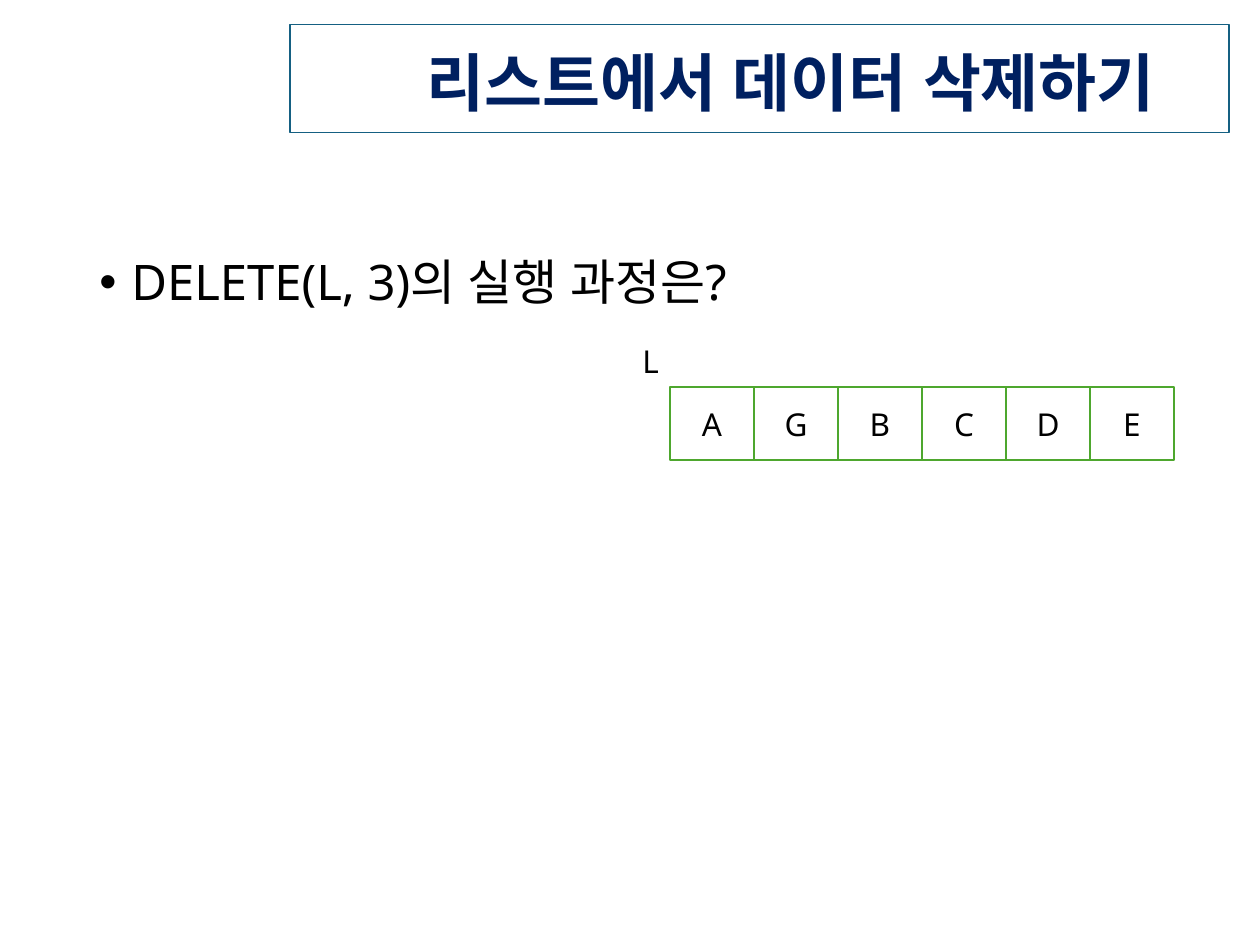
from dataclasses import dataclass

from lxml.etree import SubElement
from pptx import Presentation
from pptx.dml.color import RGBColor
from pptx.enum.shapes import MSO_SHAPE
from pptx.enum.text import MSO_ANCHOR, MSO_AUTO_SIZE, PP_ALIGN
from pptx.oxml.ns import qn
from pptx.util import Emu, Pt

PX_PER_INCH = 126
FONT = "Noto Sans"
BLACK, WHITE, NAVY, TEAL, GREEN = "000000", "FFFFFF", "002060", "156082", "4EA72E"


@dataclass
class Box:
    x: int
    y: int
    w: int
    h: int

    def emu(self) -> list[Emu]:
        return [px(v) for v in (self.x, self.y, self.w, self.h)]


def px(n: int) -> Emu:
    return Emu(round(n * 914400 / PX_PER_INCH))


def rgb(value: str) -> RGBColor:
    return RGBColor.from_string(value)


def style_text(p, size: int, color: str = BLACK, bold: bool = False) -> None:
    for r in p.runs:
        r.font.name = FONT
        r.font.size = Pt(size)
        r.font.bold = bold
        r.font.color.rgb = rgb(color)
        # Hangul takes the East Asian font
        SubElement(r.font._element, qn("a:ea"), typeface=FONT)


def set_line(sp, color: str, width: float) -> None:
    sp.line.color.rgb = rgb(color)
    sp.line.width = Pt(width)


def add_text(shapes, box: Box, text: str, size: int, wrap: bool):
    tf = shapes.add_textbox(*box.emu()).text_frame
    tf.word_wrap = wrap
    tf.text = text
    style_text(tf.paragraphs[0], size)
    return tf


def add_cell(shapes, box: Box, text: str) -> None:
    sp = shapes.add_shape(MSO_SHAPE.RECTANGLE, *box.emu())
    sp.shadow.inherit = False
    sp.fill.solid()
    sp.fill.fore_color.rgb = rgb(WHITE)
    set_line(sp, GREEN, 1.5)
    tf = sp.text_frame
    tf.text = text
    tf.vertical_anchor = MSO_ANCHOR.MIDDLE
    p = tf.paragraphs[0]
    p.alignment = PP_ALIGN.CENTER
    style_text(p, 18)


def set_title(sp, box: Box, text: str) -> None:
    sp.left, sp.top, sp.width, sp.height = box.emu()
    set_line(sp, TEAL, 0.75)
    tf = sp.text_frame
    tf.text = text
    tf.word_wrap = False
    tf.auto_size = MSO_AUTO_SIZE.SHAPE_TO_FIT_TEXT
    tf.vertical_anchor = MSO_ANCHOR.MIDDLE
    tf.margin_left = tf.margin_right = px(74)
    tf.margin_top, tf.margin_bottom = px(15), 0
    p = tf.paragraphs[0]
    p.alignment = PP_ALIGN.RIGHT
    p.line_spacing = 0.9
    style_text(p, 36, NAVY, bold=True)


def add_bullet(p, indent: int) -> None:
    pPr = p._p.get_or_add_pPr()
    pPr.set("marL", str(px(indent)))
    pPr.set("indent", str(-px(indent)))
    SubElement(pPr, qn("a:buFont"), typeface="Arial")
    SubElement(pPr, qn("a:buChar"), char="•")


def main() -> None:
    prs = Presentation()
    prs.slide_width, prs.slide_height = px(1260), px(945)
    s = prs.slides.add_slide(prs.slide_layouts[5])

    # Title
    set_title(s.shapes.title, Box(290, 37, 939, 83), "리스트에서 데이터 삭제하기")

    # Question
    tf = add_text(s.shapes, Box(87, 252, 1173, 600), "DELETE(L, 3)의 실행 과정은?", 28, wrap=True)
    p = tf.paragraphs[0]
    p.line_spacing = 0.9
    p.space_before = Pt(10)
    add_bullet(p, 32)

    # List cells
    cells = s.shapes.add_group_shape()
    first = Box(670, 387, 84, 73)
    for i, item in enumerate("AGBCDE"):
        add_cell(cells.shapes, Box(first.x + i * first.w, first.y, first.w, first.h), item)

    # List name
    tf = add_text(s.shapes, Box(630, 336, 42, 50), "L", 18, wrap=False)
    tf.auto_size = MSO_AUTO_SIZE.SHAPE_TO_FIT_TEXT

    prs.save("out.pptx")


if __name__ == "__main__":
    main()
